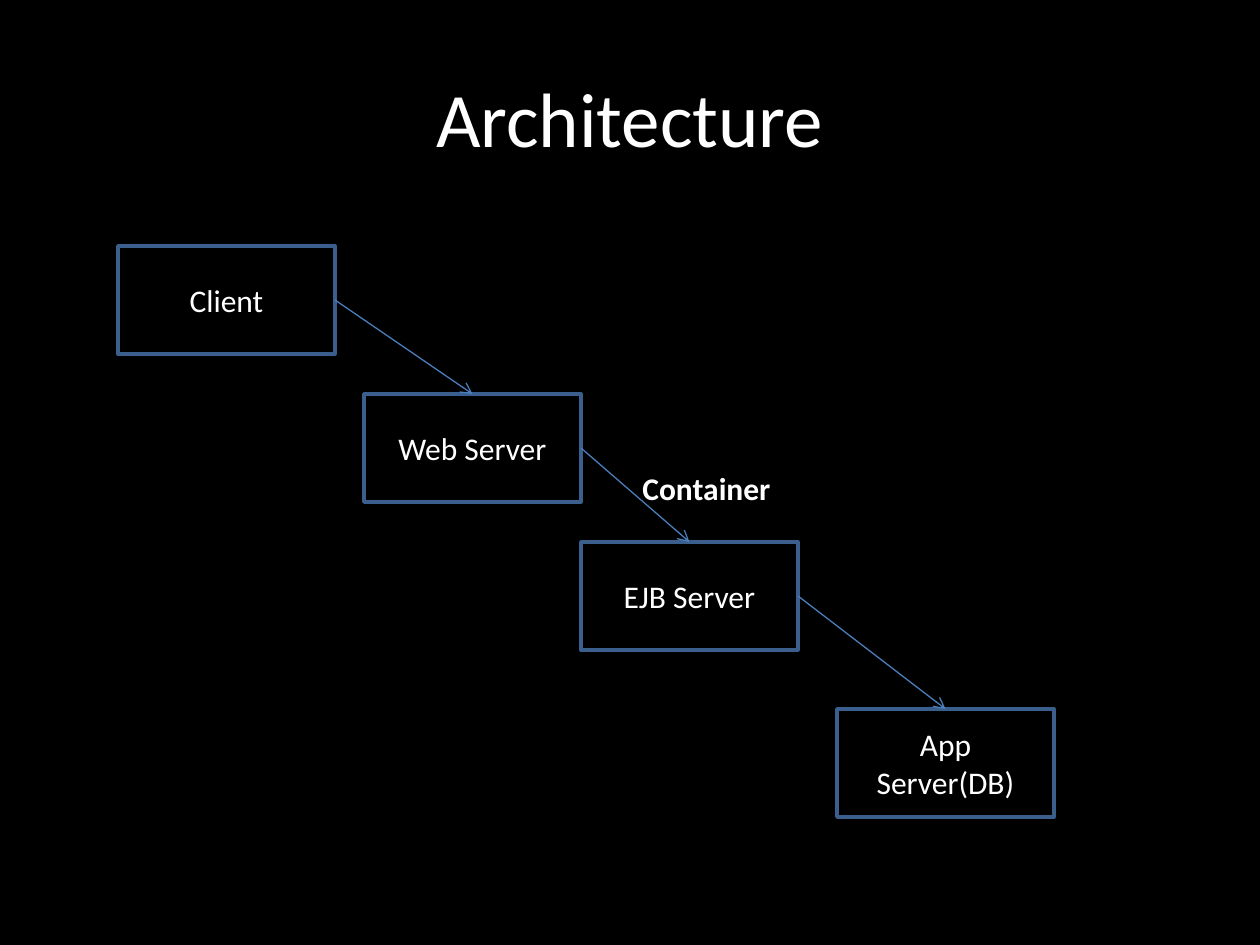
from dataclasses import dataclass
from itertools import pairwise

from lxml.etree import SubElement
from pptx import Presentation
from pptx.dml.color import RGBColor
from pptx.enum.shapes import MSO_CONNECTOR, MSO_SHAPE
from pptx.enum.text import MSO_ANCHOR, PP_ALIGN
from pptx.oxml.ns import qn
from pptx.util import Inches, Pt


@dataclass(frozen=True)
class Theme:
    font: str = "Calibri"
    background: RGBColor = RGBColor(0x00, 0x00, 0x00)
    text: RGBColor = RGBColor(0xFF, 0xFF, 0xFF)
    outline: RGBColor = RGBColor(0x3A, 0x5F, 0x8C)
    arrow: RGBColor = RGBColor(0x4B, 0x7E, 0xBC)
    title_size: Pt = Pt(44)
    body_size: Pt = Pt(18)
    outline_width: Pt = Pt(2)
    arrow_width: Pt = Pt(0.75)


THEME = Theme()
PX_PER_INCH = 126


def px(length):
    """Turn whole pixels into EMU."""
    return Inches(length / PX_PER_INCH)


def write(shape, text, size, align=PP_ALIGN.CENTER, anchor=MSO_ANCHOR.MIDDLE, bold=False):
    frame = shape.text_frame
    frame.word_wrap = True
    frame.vertical_anchor = anchor
    para = frame.paragraphs[0]
    para.text = text
    para.alignment = align
    para.font.name = THEME.font
    para.font.size = size
    para.font.bold = bold
    para.font.color.rgb = THEME.text


deck = Presentation()
deck.slide_width = px(1260)
deck.slide_height = px(945)
page = deck.slides.add_slide(deck.slide_layouts[6])
page.background.fill.solid()
page.background.fill.fore_color.rgb = THEME.background

title = page.shapes.add_textbox(px(63), px(38), px(1134), px(157))
write(title, "Architecture", THEME.title_size)

# Tiers step down from the client to the database
tiers = [
    ("Client", 118, 246),
    ("Web Server", 364, 394),
    ("EJB Server", 581, 542),
    ("App Server(DB)", 837, 709),
]
boxes = []
for name, left, top in tiers:
    box = page.shapes.add_shape(MSO_SHAPE.RECTANGLE, px(left), px(top), px(217), px(108))
    box.shadow.inherit = False
    box.fill.background()
    box.line.color.rgb = THEME.outline
    box.line.width = THEME.outline_width
    write(box, name, THEME.body_size)
    boxes.append(box)

# Each arrow runs from a tier's right side to the top of the next
for upper, lower in pairwise(boxes):
    arrow = page.shapes.add_connector(MSO_CONNECTOR.STRAIGHT, 0, 0, 0, 0)
    arrow.begin_connect(upper, 3)
    arrow.end_connect(lower, 0)
    arrow.line.color.rgb = THEME.arrow
    arrow.line.width = THEME.arrow_width
    SubElement(arrow.line._get_or_add_ln(), qn("a:tailEnd"), type="arrow")
    SubElement(arrow._element.spPr, qn("a:effectLst"))

label = page.shapes.add_textbox(px(630), px(463), px(168), px(50))
write(label, "Container", THEME.body_size, PP_ALIGN.LEFT, MSO_ANCHOR.TOP, bold=True)

deck.save("out.pptx")
